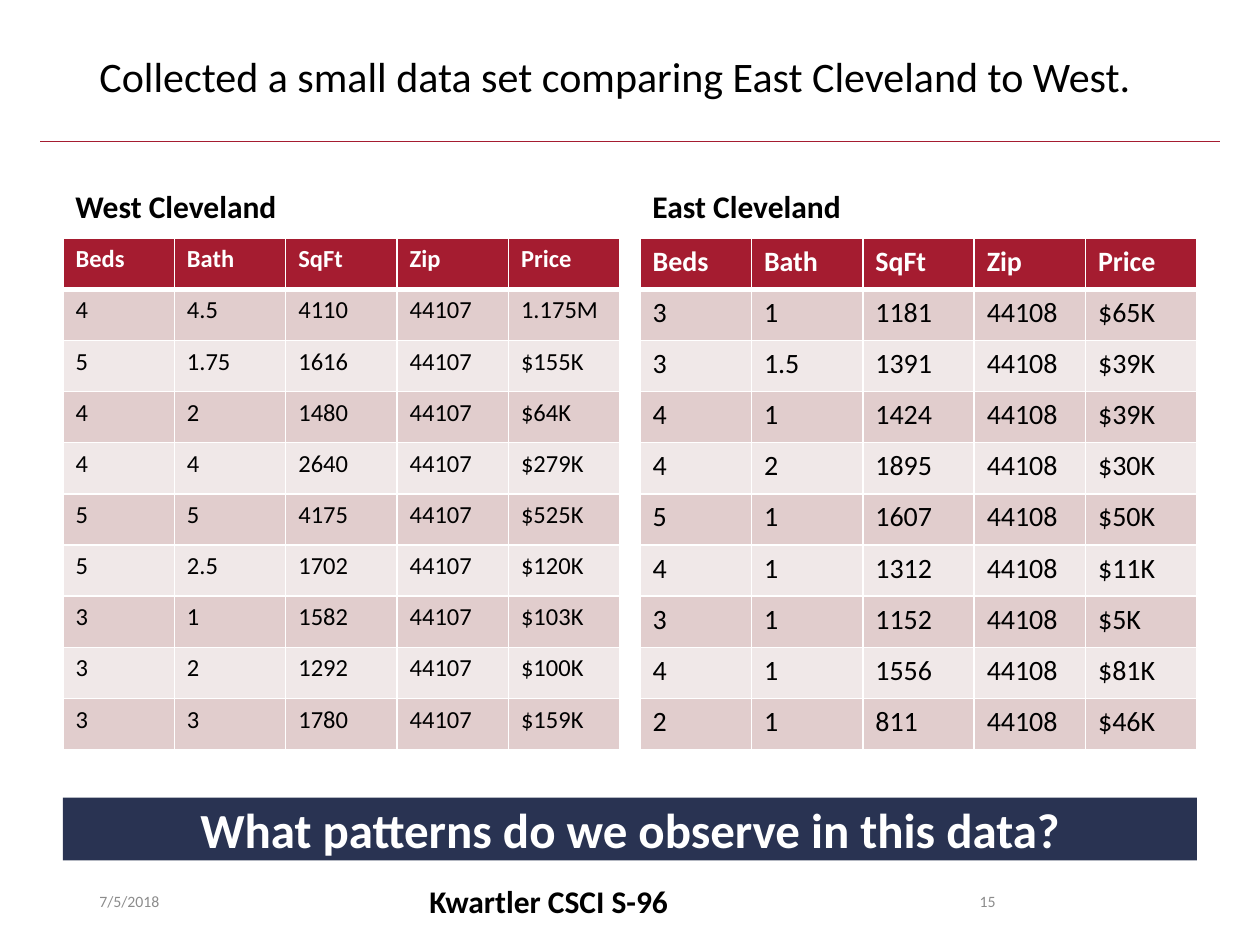
from lxml.etree import SubElement
from pptx import Presentation
from pptx.dml.color import RGBColor
from pptx.enum.shapes import MSO_CONNECTOR as Connector, MSO_SHAPE as Shape
from pptx.enum.text import MSO_ANCHOR as Anchor, PP_ALIGN as Align
from pptx.oxml.ns import qn
from pptx.util import Inches, Pt

CRIMSON = RGBColor(0xA5, 0x1C, 0x30)
NAVY = RGBColor(0x29, 0x33, 0x52)
DARK_BAND = RGBColor(0xE1, 0xCD, 0xCD)
LIGHT_BAND = RGBColor(0xF0, 0xE8, 0xE8)
GREY = RGBColor(0x8C, 0x8C, 0x8C)
BLACK = RGBColor(0, 0, 0)
WHITE = RGBColor(255, 255, 255)

COLUMNS, ROWS = 100, 75
HEADINGS = ["Beds", "Bath", "SqFt", "Zip", "Price"]
WEST_HOMES = [
    ("4", "4.5", "4110", "1.175M"),
    ("5", "1.75", "1616", "$155K"),
    ("4", "2", "1480", "$64K"),
    ("4", "4", "2640", "$279K"),
    ("5", "5", "4175", "$525K"),
    ("5", "2.5", "1702", "$120K"),
    ("3", "1", "1582", "$103K"),
    ("3", "2", "1292", "$100K"),
    ("3", "3", "1780", "$159K"),
]
EAST_HOMES = [
    ("3", "1", "1181", "$65K"),
    ("3", "1.5", "1391", "$39K"),
    ("4", "1", "1424", "$39K"),
    ("4", "2", "1895", "$30K"),
    ("5", "1", "1607", "$50K"),
    ("4", "1", "1312", "$11K"),
    ("3", "1", "1152", "$5K"),
    ("4", "1", "1556", "$81K"),
    ("2", "1", "811", "$46K"),
]


def write(frame, text, size=18, color=BLACK, bold=False, align=Align.LEFT,
          anchor=Anchor.TOP, spacing=None, before=None):
    frame.word_wrap = True
    frame.vertical_anchor = anchor
    paragraph = frame.paragraphs[0]
    paragraph.alignment = align
    if spacing:
        paragraph.line_spacing = spacing
    if before:
        paragraph.space_before = Pt(before)
    run = paragraph.add_run()
    run.text = text
    run.font.name = "Calibri"
    run.font.size = Pt(size)
    run.font.bold = bold
    run.font.color.rgb = color


class SlideBuilder:
    def __init__(self, deck):
        self.slide = deck.slides.add_slide(deck.slide_layouts[6])
        self.column = deck.slide_width / COLUMNS
        self.row = deck.slide_height / ROWS

    def place(self, left, top, width, height):
        return (round(left * self.column), round(top * self.row),
                round(width * self.column), round(height * self.row))

    def text(self, text, *box, **style):
        label = self.slide.shapes.add_textbox(*self.place(*box))
        write(label.text_frame, text, **style)

    def rule(self, left, right, top, color, weight):
        start, level, width, _ = self.place(left, top, right - left, 0)
        rule = self.slide.shapes.add_connector(
            Connector.STRAIGHT, start, level, start + width, level)
        rule.line.color.rgb = color
        rule.line.width = Pt(weight)
        SubElement(rule._element.spPr, qn("a:effectLst"))

    def banner(self, text, *box, fill, **style):
        banner = self.slide.shapes.add_shape(Shape.RECTANGLE, *self.place(*box))
        banner.shadow.inherit = False
        banner.fill.solid()
        banner.fill.fore_color.rgb = fill
        banner.line.fill.background()
        write(banner.text_frame, text, **style)

    def border(self, cell, is_heading):
        for side in "LRTB":
            weight = 3 if is_heading and side == "B" else 1
            edge = SubElement(cell._tc.get_or_add_tcPr(), qn(f"a:ln{side}"),
                              w=str(Pt(weight)))
            paint = SubElement(edge, qn("a:solidFill"))
            SubElement(paint, qn("a:srgbClr"), val=str(WHITE))

    def table(self, records, *box, size):
        table = self.slide.shapes.add_table(
            len(records), len(records[0]), *self.place(*box)).table
        for index, record in enumerate(records):
            is_heading = index == 0
            band = DARK_BAND if index % 2 else LIGHT_BAND
            for position, value in enumerate(record):
                cell = table.cell(index, position)
                self.border(cell, is_heading)
                cell.fill.solid()
                cell.fill.fore_color.rgb = CRIMSON if is_heading else band
                write(cell.text_frame, value, size=size, bold=is_heading,
                      color=WHITE if is_heading else BLACK)

    def region(self, name, left, zip_code, homes, size):
        self.text(name, left, 13.7, 42.4, 4.7, bold=True,
                  anchor=Anchor.BOTTOM, spacing=0.9, before=7.5)
        records = [HEADINGS] + [(*home[:3], zip_code, home[3]) for home in homes]
        self.table(records, left, 18.9, 44.2, 40.6, size=size)


def main():
    deck = Presentation()
    deck.slide_width, deck.slide_height = Inches(10), Inches(7.5)
    builder = SlideBuilder(deck)
    builder.rule(3.2, 96.8, 11.2, CRIMSON, 0.5)
    builder.text("Collected a small data set comparing East Cleveland to West.",
                 6.9, 4, 86.2, 6.5, size=24, spacing=0.9)
    builder.region("West Cleveland", 5, "44107", WEST_HOMES, 14)
    builder.region("East Cleveland", 50.8, "44108", EAST_HOMES, 16)
    builder.banner("What patterns do we observe in this data?", 5, 63.3, 90, 5,
                   fill=NAVY, size=28, color=WHITE, bold=True,
                   align=Align.CENTER, anchor=Anchor.MIDDLE)
    builder.text("7/5/2018", 6.9, 69.5, 22.5, 4, size=9, color=GREY,
                 anchor=Anchor.MIDDLE)
    builder.text("Kwartler CSCI S-96", 33.1, 69.5, 33.8, 4, bold=True,
                 anchor=Anchor.BOTTOM)
    builder.text("15", 70.6, 69.5, 9.4, 4, size=9, color=GREY,
                 align=Align.RIGHT, anchor=Anchor.MIDDLE)
    deck.save("out.pptx")


if __name__ == "__main__":
    main()
